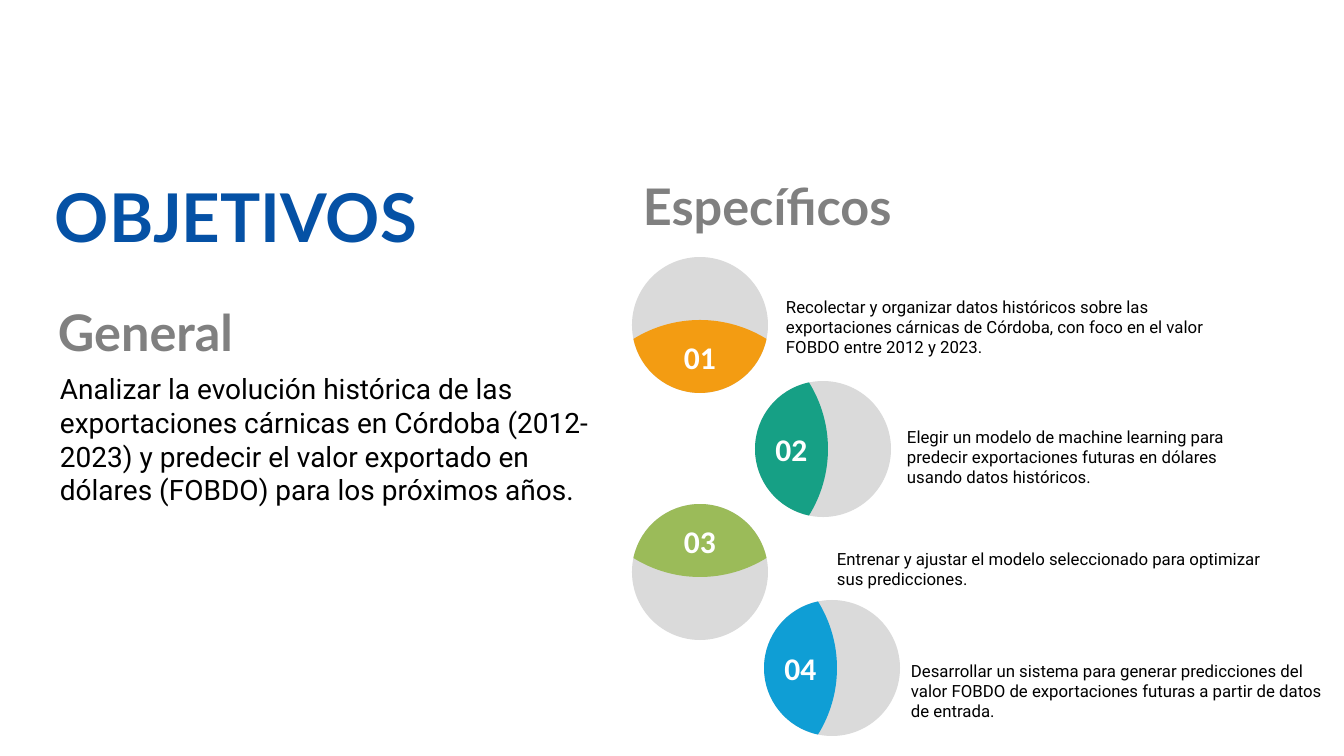
import math

import lxml.etree
import pptx
import pptx.dml.color
import pptx.enum.shapes
import pptx.enum.text
import pptx.oxml.ns
import pptx.util

RGBColor = pptx.dml.color.RGBColor
PP_ALIGN = pptx.enum.text.PP_ALIGN
ANCHOR = pptx.enum.text.MSO_ANCHOR
qn = pptx.oxml.ns.qn

BLUE = RGBColor(0x05, 0x51, 0xA5)
GRAY = RGBColor(0x80, 0x80, 0x80)
BLACK = RGBColor(0x00, 0x00, 0x00)
WHITE = RGBColor(0xFF, 0xFF, 0xFF)
DISC_GRAY = RGBColor(0xDA, 0xDA, 0xDA)
ORANGE = RGBColor(0xF3, 0x9C, 0x12)
TEAL = RGBColor(0x16, 0xA0, 0x85)
GREEN = RGBColor(0x9B, 0xBB, 0x59)
SKY = RGBColor(0x0F, 0x9E, 0xD5)

# Text formats
TITLE = dict(name="Lato", size=pptx.util.Pt(48), bold=True)
HEADING = dict(name="Lato", size=pptx.util.Pt(36), bold=True)
GENERAL = dict(name="Roboto", size=pptx.util.Pt(20))
SPECIFIC = dict(name="Roboto", size=pptx.util.Pt(12))
NUMBER = dict(name="Calibri", size=pptx.util.Pt(22.5), bold=True)

# Content: text, box in px (left, top, width, height), format, colour, alignment
headings = [
    ("OBJETIVOS", (10, 170, 452, 92), TITLE, BLUE, PP_ALIGN.CENTER),
    ("General", (48, 296, 243, 72), HEADING, GRAY, PP_ALIGN.LEFT),
    ("Analizar la evolución histórica de las exportaciones cárnicas en Córdoba "
     "(2012-2023) y predecir el valor exportado en dólares (FOBDO) para los "
     "próximos años.", (50, 367, 582, 179), GENERAL, BLACK, PP_ALIGN.LEFT),
    ("Específicos", (633, 170, 348, 72), HEADING, GRAY, PP_ALIGN.LEFT),
]

# Content: disc corner in px, side of the lens in degrees, colour, text, box
DOWN, LEFT, UP = 90, 180, 270
objectives = [
    ((632, 257), DOWN, ORANGE,
     "Recolectar y organizar datos históricos sobre las exportaciones cárnicas "
     "de Córdoba, con foco en el valor FOBDO entre 2012 y 2023.",
     (786, 290, 437, 72)),
    ((755, 381), LEFT, TEAL,
     "Elegir un modelo de machine learning para predecir exportaciones futuras "
     "en dólares usando datos históricos.",
     (907, 420, 368, 72)),
    ((632, 504), UP, GREEN,
     "Entrenar y ajustar el modelo seleccionado para optimizar sus predicciones.",
     (837, 544, 437, 50)),
    ((764, 600), LEFT, SKY,
     "Desarrollar un sistema para generar predicciones del valor FOBDO de "
     "exportaciones futuras a partir de datos de entrada.",
     (911, 654, 437, 72)),
]

PX = 12192000 / 1344
RADIUS = 68
CHORD = 14      # distance from disc centre to the lens corners
BULGE = 19      # height of the inner arc above its chord


def emu(*lengths):
    return [round(length * PX) for length in lengths]


def write(frame, text, font_format, color, align):
    frame.word_wrap = True
    paragraph = frame.paragraphs[0]
    paragraph.alignment = align
    run = paragraph.add_run()
    run.text = text
    for key, value in font_format.items():
        setattr(run.font, key, value)
    run.font.color.rgb = color


def add_text(box, text, font_format, color, align, **frame_format):
    frame = slide.shapes.add_textbox(*emu(*box)).text_frame
    write(frame, text, font_format, color, align)
    frame.auto_size = pptx.enum.text.MSO_AUTO_SIZE.SHAPE_TO_FIT_TEXT
    for key, value in frame_format.items():
        setattr(frame, key, value)


def paint(shape, color):
    shape.fill.solid()
    shape.fill.fore_color.rgb = color
    shape.line.fill.background()
    shape.shadow.inherit = False


def curve(center, radius, start, sweep):
    """Two control points and the end point of a circular arc."""
    handle = 4 / 3 * math.tan(sweep / 4)
    end = start + sweep
    steps = [(start, handle), (end, -handle), (end, 0)]
    return [(center + radius * (math.cos(a) - h * math.sin(a)),
             radius * (math.sin(a) + h * math.cos(a))) for a, h in steps]


def add_lens(center_x, center_y, side):
    """Overlap of the disc with a larger circle, turned towards one side."""
    half_chord = math.sqrt(RADIUS ** 2 - CHORD ** 2)
    inner_radius = (half_chord ** 2 + BULGE ** 2) / (2 * BULGE)
    inner_center = CHORD - BULGE + inner_radius
    outer = math.acos(CHORD / RADIUS)
    inner = math.asin(half_chord / inner_radius)
    cos, sin = math.cos(math.radians(side)), math.sin(math.radians(side))
    curves = [
        [emu(center_x + x * cos - y * sin, center_y + x * sin + y * cos)
         for x, y in curve(*arc)]
        for arc in [(0, RADIUS, -outer, outer), (0, RADIUS, 0, outer),
                    (inner_center, inner_radius, math.pi - inner, inner),
                    (inner_center, inner_radius, math.pi, inner)]]
    ends = [points[-1] for points in curves]
    outline = slide.shapes.build_freeform(*ends[-1])
    outline.add_line_segments(ends, close=True)
    lens = outline.convert_to_shape()

    # Bend the straight segments into arcs
    segments = list(lens._element.iter(qn("a:lnTo")))
    for segment, points in zip(segments, curves):
        bend = lxml.etree.Element(qn("a:cubicBezTo"))
        for x, y in points:
            lxml.etree.SubElement(bend, qn("a:pt"),
                                  x=str(x - lens.left), y=str(y - lens.top))
        segment.getparent().replace(segment, bend)
    return lens


presentation = pptx.Presentation()
presentation.slide_width, presentation.slide_height = emu(1344, 756)
slide = presentation.slides.add_slide(presentation.slide_layouts[6])

# Title, headings and general objective
for text, box, font_format, color, align in headings:
    add_text(box, text, font_format, color, align)

# Specific objectives: disc, numbered lens and description
for number, (corner, side, color, text, box) in enumerate(objectives, 1):
    left, top = corner
    disc = slide.shapes.add_shape(pptx.enum.shapes.MSO_SHAPE.OVAL,
                                  *emu(left, top, 2 * RADIUS, 2 * RADIUS))
    paint(disc, DISC_GRAY)

    lens = add_lens(left + RADIUS, top + RADIUS, side)
    paint(lens, color)
    write(lens.text_frame, f"{number:02}", NUMBER, WHITE, PP_ALIGN.CENTER)
    lens.text_frame.vertical_anchor = ANCHOR.MIDDLE
    for margin in ("margin_left", "margin_top", "margin_right", "margin_bottom"):
        setattr(lens.text_frame, margin, emu(3)[0])

    add_text(box, text, SPECIFIC, BLACK, PP_ALIGN.LEFT,
             margin_left=0, vertical_anchor=ANCHOR.BOTTOM)

presentation.save("out.pptx")
